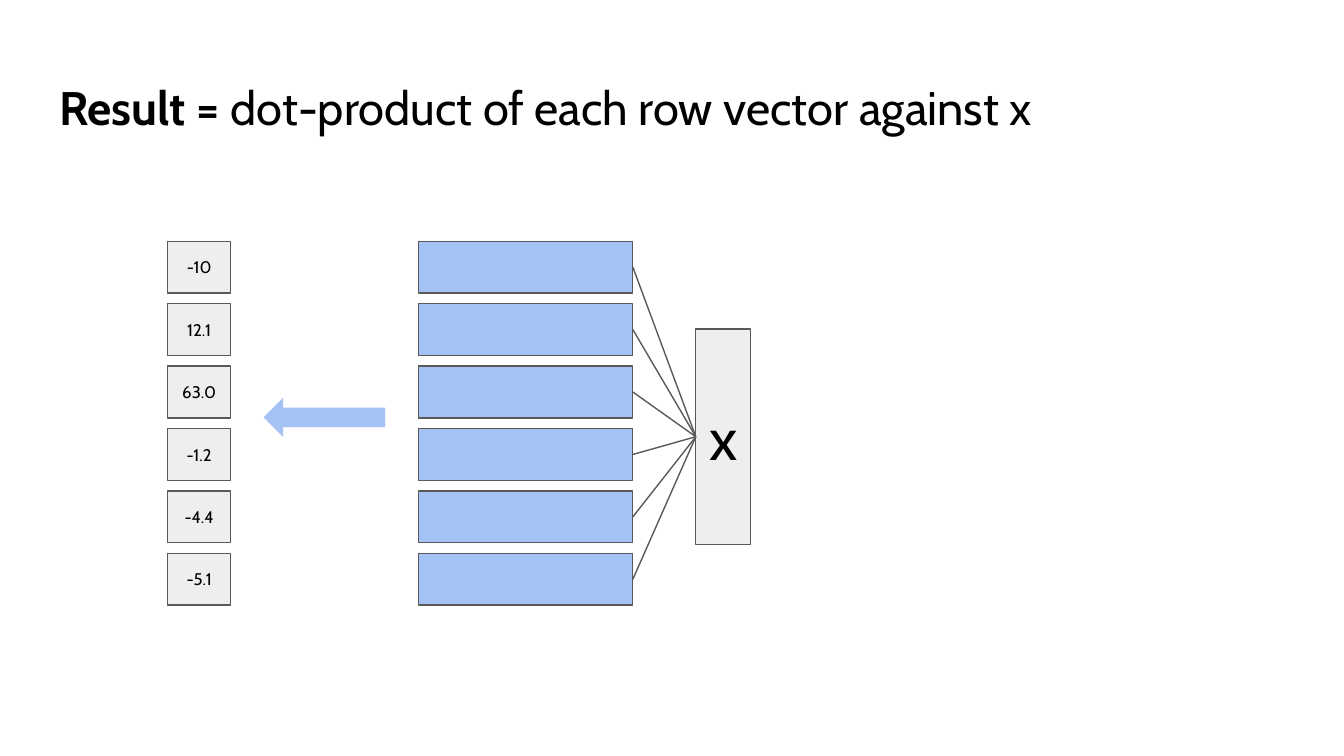
"""Build a slide that shows a matrix-vector product as row dot-products."""
from dataclasses import dataclass

from pptx import Presentation
from pptx.dml.color import RGBColor as RGB
from pptx.enum.shapes import MSO_CONNECTOR as LINK, MSO_SHAPE as SHAPE
from pptx.enum.text import MSO_ANCHOR as ANCHOR, PP_ALIGN as ALIGN
from pptx.oxml.ns import qn
from pptx.util import Cm, Pt


@dataclass(frozen=True)
class Theme:
    face: str = "Cabin"
    ink: RGB = RGB(0, 0, 0)
    edge: RGB = RGB(0x59, 0x59, 0x59)
    blue: RGB = RGB(0xA4, 0xC2, 0xF4)
    gray: RGB = RGB(0xEE, 0xEE, 0xEE)
    line: Pt = Pt(0.75)
    head: Pt = Pt(25.2)
    large: Pt = Pt(32)
    small: Pt = Pt(9)


theme = Theme()


def style(frame, size):
    frame.word_wrap = True
    frame.margin_left = frame.margin_right = Cm(0.25)
    frame.margin_top = frame.margin_bottom = Cm(0.25)
    for run in frame.paragraphs[0].runs:
        run.font.name = theme.face
        run.font.size = size
        run.font.color.rgb = theme.ink


def add_box(shapes, left, top, width, height, fill, text="", size=theme.small):
    box = shapes.add_shape(SHAPE.RECTANGLE, Cm(left), Cm(top), Cm(width), Cm(height))
    box.shadow.inherit = False
    box.fill.solid()
    box.fill.fore_color.rgb = fill
    box.line.color.rgb = theme.edge
    box.line.width = theme.line
    if text:
        frame = box.text_frame
        frame.text = text
        frame.vertical_anchor = ANCHOR.MIDDLE
        frame.paragraphs[0].alignment = ALIGN.CENTER
        style(frame, size)
    return box


deck = Presentation()
deck.slide_width, deck.slide_height = Cm(25.4), Cm(14.29)
slide = deck.slides.add_slide(deck.slide_layouts[6])
shapes = slide.shapes

title = shapes.add_textbox(Cm(0.87), Cm(1.24), Cm(23.67), Cm(1.6)).text_frame
for part, bold in (("Result =", True), (" dot-product of each row vector against x", False)):
    run = title.paragraphs[0].add_run()
    run.text = part
    run.font.bold = bold
style(title, theme.head)

values = ("-10", "12.1", "63.0", "-1.2", "-4.4", "-5.1")
first, pitch, height = 4.56, 1.18, 0.98

vector = add_box(shapes, 13.15, 6.22, 1.04, 4.07, theme.gray, "x", theme.large)
result = shapes.add_group_shape()
for index, value in enumerate(values):
    top = first + index * pitch
    row = add_box(shapes, 7.91, top, 4.05, height, theme.blue)
    add_box(result.shapes, 3.17, top, 1.19, height, theme.gray, value)
    link = shapes.add_connector(LINK.STRAIGHT, 0, 0, 0, 0)
    link.begin_connect(row, 3)
    link.end_connect(vector, 1)
    link.line.color.rgb = theme.edge
    link.line.width = theme.line
    props = link.element.spPr
    props.append(props.makeelement(qn("a:effectLst"), {}))

arrow = result.shapes.add_shape(SHAPE.LEFT_ARROW, Cm(4.98), Cm(7.52), Cm(2.3), Cm(0.74))
arrow.shadow.inherit = False
arrow.fill.solid()
arrow.fill.fore_color.rgb = theme.blue
arrow.line.fill.background()

deck.save("out.pptx")
